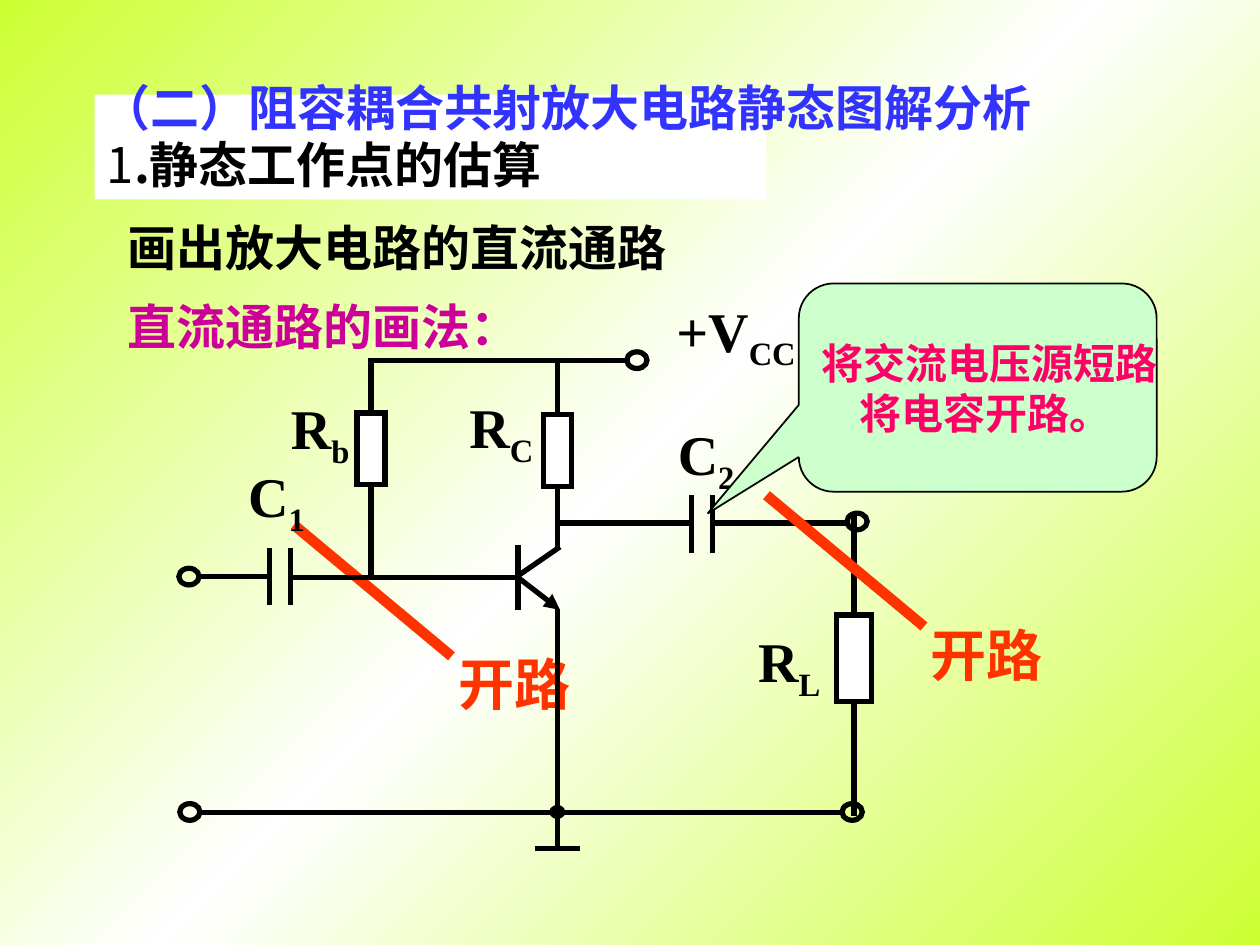
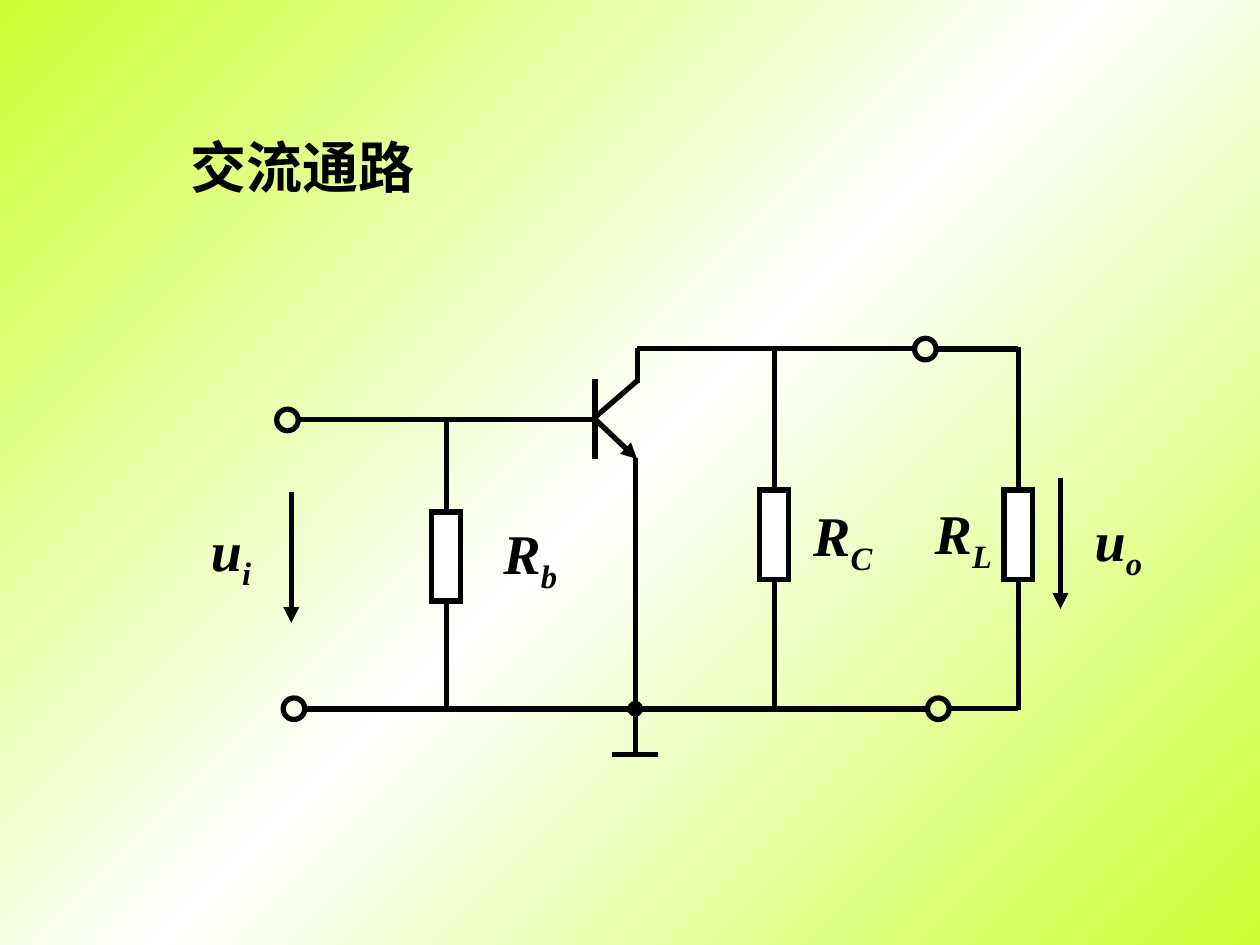
from copy import deepcopy

from pptx import Presentation
from pptx.dml.color import RGBColor
from pptx.enum.shapes import MSO_CONNECTOR as LINK, MSO_SHAPE as KIND
from pptx.enum.text import MSO_ANCHOR as ANCHOR, PP_ALIGN as ALIGN
from pptx.oxml.ns import qn
from pptx.oxml.xmlchemy import OxmlElement as Node
from pptx.util import Pt

BLACK, WHITE, LIME, RED = "000000", "FFFFFF", "CCFF33", "FF3300"
BLUE, PLUM, PINK, MINT = "3333FF", "CC0099", "FF0066", "CCFFCC"
LATIN, HAN = "Times New Roman", "Noto Sans CJK SC"


def rgb(code):
    return RGBColor.from_string(code)


def points(*sizes):
    return [Pt(size) for size in sizes]


def add(parent, tag, **values):
    """Append an XML element with the given attributes."""
    node = Node(tag)
    for key, value in values.items():
        node.set(key, value)
    parent.append(node)


class Board:
    """Holds the text style and the slide being drawn."""

    base = {"name": LATIN, "size": Pt(28), "bold": True}

    def __init__(self):
        self.deck = Presentation()
        self.deck.slide_width, self.deck.slide_height = points(720, 540)
        self.slide = None
        self.paint()

    def paint(self):
        """Give the master its diagonal lime, white, lime gradient."""
        master = self.deck.slide_master
        fill = master.background.fill
        fill.gradient()
        fill.gradient_angle = 315
        stops = master.element.find(".//" + qn("a:gsLst"))
        stops.insert(1, deepcopy(stops[0]))
        for stop, place, code in zip(fill.gradient_stops, (0, 0.5, 1),
                                     (LIME, WHITE, LIME)):
            stop.position = place
            stop.color.rgb = rgb(code)

    def page(self):
        self.slide = self.deck.slides.add_slide(self.deck.slide_layouts[6])

    def run(self, para, words, color=BLACK, sub=False, **style):
        run = para.add_run()
        run.text = words
        for key, value in {**self.base, **style}.items():
            setattr(run.font, key, value)
        run.font.color.rgb = rgb(color)
        props = run.font._element
        if sub:
            props.set("baseline", "-25000")
        add(props, "a:ea", typeface=HAN)

    def frame(self, shape, anchor=ANCHOR.MIDDLE, wrap=True):
        frame = shape.text_frame
        frame.vertical_anchor = anchor
        frame.word_wrap = wrap
        return frame

    def text(self, x, y, w, h, words, color=BLACK, align=ALIGN.LEFT,
             anchor=ANCHOR.TOP, space=None, **style):
        box = self.slide.shapes.add_textbox(*points(x, y, w, h))
        para = self.frame(box, anchor).paragraphs[0]
        para.alignment = align
        para.line_spacing = space
        self.run(para, words, color, **style)

    def label(self, x, y, name, index, slant=False):
        """Centre a symbol with its subscript on (x, y)."""
        w = 48 + 24 * len(name + index[1:])
        box = self.slide.shapes.add_textbox(
            *points(x - w / 2, y - 25.5, w, 51))
        para = self.frame(box, wrap=False).paragraphs[0]
        para.alignment = ALIGN.CENTER
        for words, sub in ((name, False), (index, True)):
            self.run(para, words, sub=sub, size=Pt(32), italic=slant)

    def shape(self, kind, x, y, w, h, fill=None, line=BLACK, width=3):
        shape = self.slide.shapes.add_shape(kind, *points(x, y, w, h))
        shape.shadow.inherit = False
        for part, code in ((shape.fill, fill), (shape.line.fill, line)):
            if code:
                part.solid()
                part.fore_color.rgb = rgb(code)
            else:
                part.background()
        if line:
            shape.line.width = Pt(width)
            add(shape.line._get_or_add_ln(), "a:miter", lim="800000")
        return shape

    def wire(self, x1, y1, x2, y2, color=BLACK, width=3, arrow=False):
        wire = self.slide.shapes.add_connector(
            LINK.STRAIGHT, *points(x1, y1, x2, y2))
        wire.line.color.rgb = rgb(color)
        wire.line.width = Pt(width)
        if arrow:
            add(wire.line._get_or_add_ln(), "a:tailEnd", type="triangle")
        add(wire._element.spPr, "a:effectLst")
        return wire

    def spot(self, x, y, w, h, fill=None):
        """Centre an ellipse on (x, y)."""
        self.shape(KIND.OVAL, x - w / 2, y - h / 2, w, h, fill)

    def load(self, x, top, w, h, start, end):
        """Draw a resistor with leads up to start and down to end."""
        body = self.shape(KIND.RECTANGLE, x - w / 2, top, w, h, WHITE)
        self.wire(x, start, x, top).end_connect(body, 0)
        self.wire(x, top + h, x, end).begin_connect(body, 2)

    def plates(self, x, y):
        """Draw a capacitor centred on (x, y)."""
        for side in (x - 6, x + 6):
            self.wire(side, y - 16.5, side, y + 16.5)

    def gate(self, x, y, reach):
        """Draw a transistor whose base meets its bar at (x, y)."""
        self.wire(x, y - reach, x, y + reach)
        self.wire(x, y - 1, x + 24, y - reach + 1)
        self.wire(x, y, x + 24, y + reach, arrow=True)

    def ground(self, x, top, bus, low, tall):
        """Run the emitter lead down across the bus to the ground bar."""
        self.wire(x, top, x, low)
        self.wire(x - 13, low, x + 13, low)
        self.spot(x, bus, 6, tall, BLACK)

    def cut(self, x, y):
        """Strike out a capacitor and mark it as open."""
        self.wire(x, y, x + 90, y + 75, RED, 6)
        self.text(x + 72, y + 67.5, 108, 46, "开路", RED, ALIGN.CENTER,
                  ANCHOR.MIDDLE, size=Pt(32))

    def bubble(self):
        """Draw the callout that points at the second capacitor."""
        shape = self.shape(KIND.ROUNDED_RECTANGULAR_CALLOUT,
                           456.5, 162, 204.5, 119, MINT, width=1)
        for i, value in enumerate((-0.755, 0.605, 0.167)):
            shape.adjustments[i] = value
        frame = self.frame(shape, wrap=False)
        first, second = frame.paragraphs[0], frame.add_paragraph()
        second._p.get_or_add_pPr().set("marL", str(Pt(22)))
        for para, words in ((first, "将交流电压源短路"), (second, "将电容开路。")):
            para.alignment = ALIGN.LEFT
            self.run(para, words, PINK, size=Pt(24))

    def banner(self):
        shape = self.shape(KIND.RECTANGLE, 54, 54, 384, 60, WHITE, None)
        para = self.frame(shape, ANCHOR.BOTTOM).paragraphs[0]
        para.alignment = ALIGN.LEFT
        self.run(para, "1", name=HAN, bold=False)
        self.run(para, ".静态工作点的估算", name=HAN)


def direct(board):
    """Slide 1: how to find the DC path."""
    board.page()
    board.cut(168, 300)
    for load in ((212, 236, 16, 41, 206, 330),
                 (318.5, 237, 16, 41, 206, 314),
                 (488, 351.5, 20, 49.5, 294.5, 466.5)):
        board.load(*load)
    for wire in ((210.5, 206, 357, 206), (114.5, 329.5, 153.5, 329.5),
                 (166, 330, 296, 330), (318.5, 298.8, 395, 298.8),
                 (407, 298.8, 484.5, 298.8), (115, 464.5, 481.5, 464.5)):
        board.wire(*wire)
    for x, y in ((160, 329.5), (401, 299.5)):
        board.plates(x, y)
    board.gate(296, 330, 18.5)
    board.ground(318.5, 348, 464, 485, 5)
    for x, y in ((364, 205.8), (108, 329.5), (108.5, 464),
                 (489.8, 298), (487, 464)):
        board.spot(x, y, 11.5, 9.5)
    for label in ((183, 246.5, "R", "b"), (420.5, 191, "+V", "CC"),
                  (286.5, 246, "R", "C"), (158, 285.5, "C", "1"),
                  (403.5, 261.5, "C", "2"), (451, 380, "R", "L")):
        board.label(*label)
    board.text(66, 121, 340, 41, "画出放大电路的直流通路")
    board.banner()
    board.bubble()
    board.text(66, 156, 288, 51, "直流通路的画法：", PLUM, ALIGN.JUSTIFY,
               space=1.3)
    board.cut(438, 283)
    board.text(51, 40.5, 590, 41, "（二）阻容耦合共射放大电路静态图解分析",
               BLUE, name="Arial")


def signal(board):
    """Slide 2: the AC path."""
    board.page()
    for x, top, start, end in ((255, 292.5, 240, 403.5),
                               (442.5, 280, 199, 405),
                               (582, 280, 198, 406)):
        board.load(x, top, 16.5, 51, start, end)
    for wire in ((171.5, 239.7, 340, 239.7), (364, 199, 523, 199),
                 (535.5, 199.5, 582, 199.5), (364.3, 199, 364.3, 219),
                 (173.5, 405.2, 530.5, 405.2), (543, 405, 582, 405)):
        board.wire(*wire)
    for x, top in ((166.5, 281), (606, 273)):
        board.wire(x, top, x, top + 75, arrow=True)
    board.gate(340, 239.5, 22.8)
    board.ground(363, 261.5, 405, 431, 6)
    for x, y in ((164.3, 240), (168, 405), (536.2, 405), (528.8, 199.5)):
        board.spot(x, y, 12.3, 12.3)
    for x, y, name, index in ((303, 318, "R", "b"), (481.5, 308, "R", "C"),
                              (550.5, 306.5, "R", "L"), (132, 316.5, "u", "i"),
                              (639, 310.5, "u", "o")):
        board.label(x, y, name, index, slant=True)
    board.text(102, 72, 228, 46, "交流通路", anchor=ANCHOR.MIDDLE,
               size=Pt(32))


def main():
    board = Board()
    direct(board)
    signal(board)
    board.deck.save("out.pptx")


if __name__ == "__main__":
    main()
